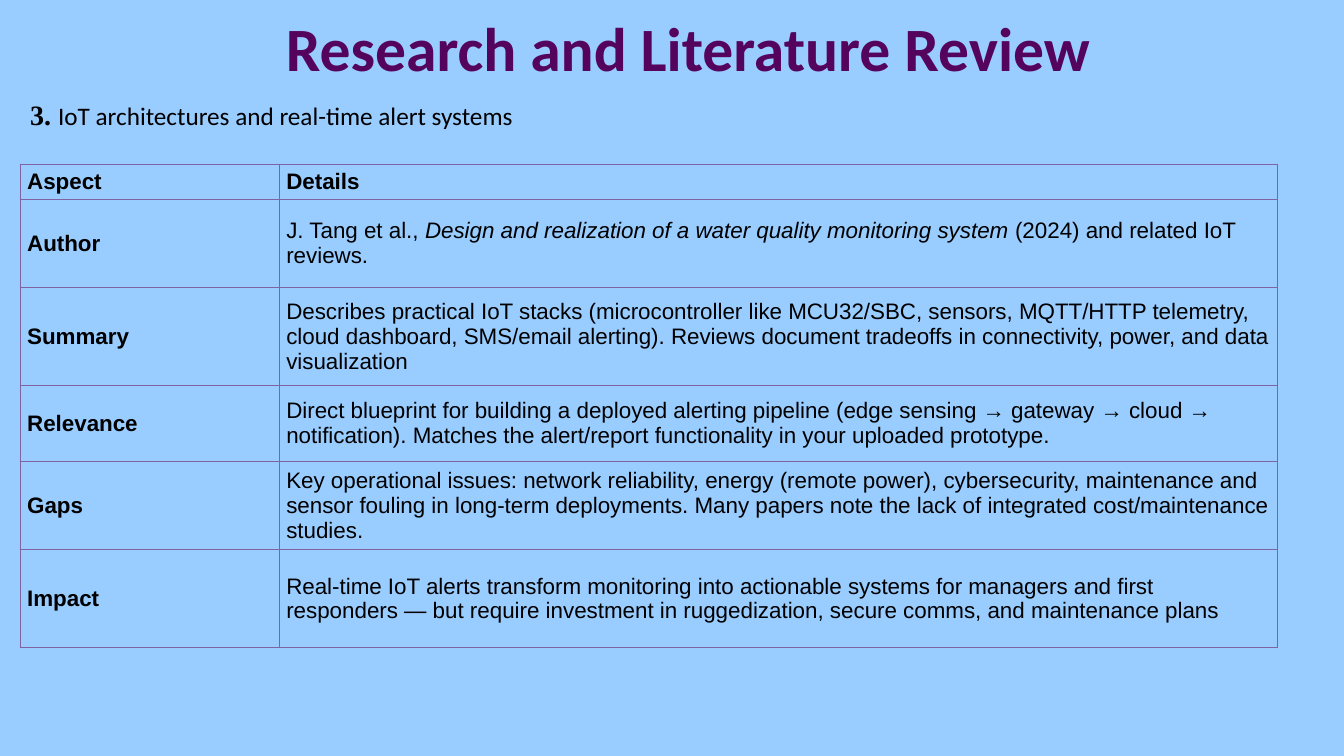
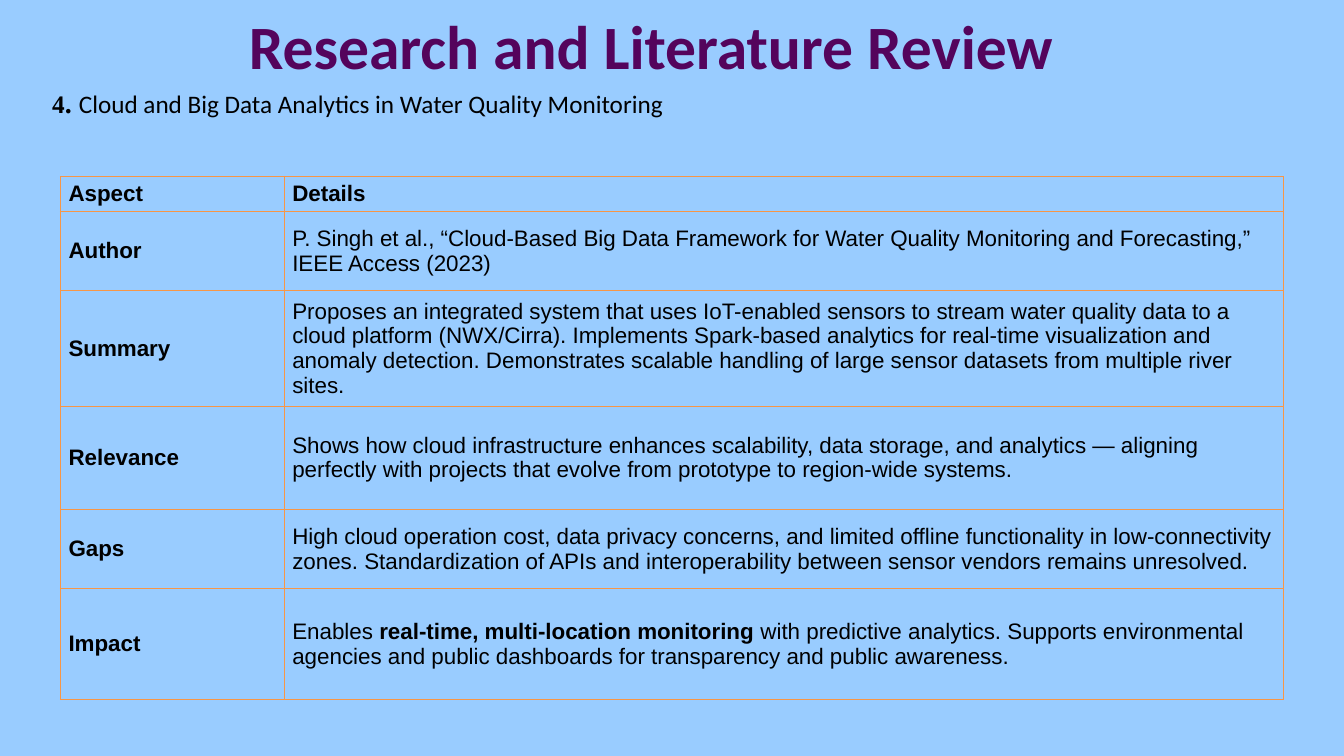
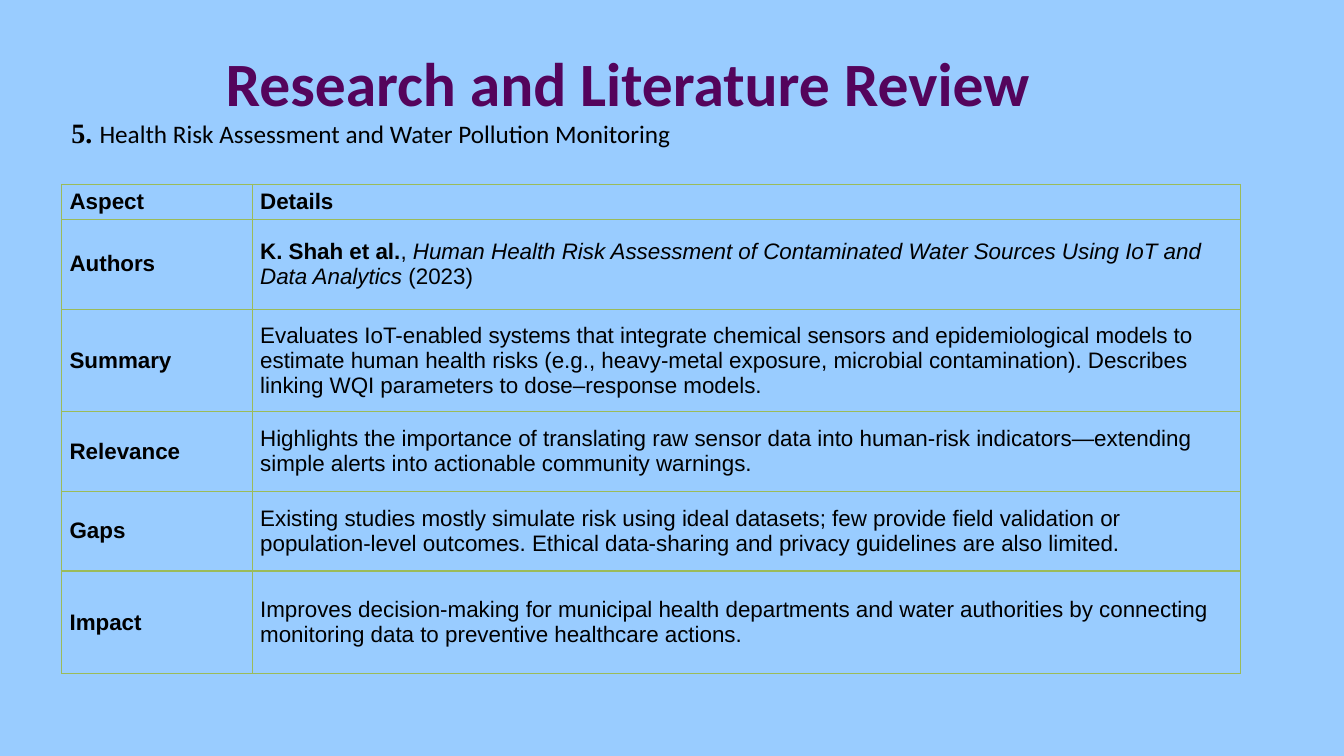
"""Build three literature review slides, each with a title, a topic line and a table."""
import pptx
import pptx.dml.color
import pptx.enum.text
import pptx.oxml
import pptx.util
import pptx.oxml.ns

COLORS = {"sky": "99CCFF", "plum": "54045C", "black": "000000",
          "purple": "8064A2", "orange": "F79646", "green": "9BBB59"}
TITLE = "Research and Literature Review "
MIDDLE = pptx.enum.text.MSO_ANCHOR.MIDDLE
CENTER = pptx.enum.text.PP_ALIGN.CENTER

SLIDES = [
    {
        "title_at": (6.75, 0.2), "topic_at": (1.5, 12.27), "table_at": (1.5, 21.73),
        "number": [("3. ", 20)], "topic": "IoT architectures and real-time alert systems",
        "line": "purple", "inset": 0.07,
        "cols": [19.28, 74.27], "rows": [4, 11.73, 12.93, 10, 10, 12.93],
        "cells": [
            ("Aspect", [("Details", "b")]),
            ("Author", [("J. Tang et al., ", ""),
                        ("Design and realization of a water quality monitoring system", "i"),
                        (" (2024) and related IoT reviews.", "")]),
            ("Summary", [("Describes practical IoT stacks (microcontroller like MCU32/SBC, sensors, "
                          "MQTT/HTTP telemetry, cloud dashboard, SMS/email alerting). Reviews document "
                          "tradeoffs in connectivity, power, and data visualization", "")]),
            ("Relevance", [("Direct blueprint for building a deployed alerting pipeline (edge sensing → "
                            "gateway → cloud → notification). Matches the alert/report functionality in "
                            "your uploaded prototype.", "")]),
            ("Gaps", [("Key operational issues: network reliability, energy (remote power), cybersecurity, "
                       "maintenance and sensor fouling in long-term deployments. Many papers note the lack "
                       "of integrated cost/maintenance studies.", "")]),
            ("Impact", [("Real-time IoT alerts transform monitoring into actionable systems for managers "
                         "and first responders — but require investment in ruggedization, secure comms, "
                         "and maintenance plans", "")]),
        ],
    },
    {
        "title_at": (3.98, 0), "topic_at": (3.15, 10.67), "table_at": (4.5, 23.33),
        "number": [("4", 18), (". ", 20)],
        "topic": "Cloud and Big Data Analytics in Water Quality Monitoring",
        "line": "orange", "inset": 0.08,
        "cols": [16.65, 74.34], "rows": [4.13, 10.53, 10.53, 13.6, 10.53, 14.67],
        "cells": [
            ("Aspect", [("Details", "b")]),
            ("Author", [("P. Singh et al., “Cloud-Based Big Data Framework for Water Quality Monitoring "
                         "and Forecasting,” IEEE Access (2023)", "")]),
            ("Summary", [("Proposes an integrated system that uses IoT-enabled sensors to stream water "
                          "quality data to a cloud platform (NWX/Cirra). Implements Spark-based analytics "
                          "for real-time visualization and anomaly detection. Demonstrates scalable "
                          "handling of large sensor datasets from multiple river sites.", "")]),
            ("Relevance", [("Shows how cloud infrastructure enhances scalability, data storage, and "
                            "analytics — aligning perfectly with projects that evolve from prototype to "
                            "region-wide systems.", "")]),
            ("Gaps", [("High cloud operation cost, data privacy concerns, and limited offline functionality "
                       "in low-connectivity zones. Standardization of APIs and interoperability between "
                       "sensor vendors remains unresolved.", "")]),
            ("Impact", [("Enables ", ""), ("real-time, multi-location monitoring", "b"),
                        (" with predictive analytics. Supports environmental agencies and public "
                         "dashboards for transparency and public awareness.", "")]),
        ],
    },
    {
        "title_at": (2.25, 4.8), "topic_at": (4.58, 14.67), "table_at": (4.58, 24.4),
        "number": [("5. ", 20)], "topic": "Health Risk Assessment and Water Pollution Monitoring",
        "line": "green", "inset": 0.08,
        "cols": [14.18, 73.52], "rows": [4.13, 11.87, 13.6, 10.53, 10.53, 13.6],
        "cells": [
            ("Aspect", [("Details", "b")]),
            ("Authors", [("K. Shah et al.", "b"), (", ", ""),
                         ("Human Health Risk Assessment of Contaminated Water Sources Using IoT and "
                          "Data Analytics", "i"), (" (2023)", "")]),
            ("Summary", [("Evaluates IoT-enabled systems that integrate chemical sensors and "
                          "epidemiological models to estimate human health risks (e.g., heavy-metal "
                          "exposure, microbial contamination). Describes linking WQI parameters to "
                          "dose–response models.", "")]),
            ("Relevance", [("Highlights the importance of translating raw sensor data into human-risk "
                            "indicators—extending simple alerts into actionable community warnings.", "")]),
            ("Gaps", [("Existing studies mostly simulate risk using ideal datasets; few provide field "
                       "validation or population-level outcomes. Ethical data-sharing and privacy "
                       "guidelines are also limited.", "")]),
            ("Impact", [("Improves decision-making for municipal health departments and water authorities "
                         "by connecting monitoring data to preventive healthcare actions.", "")]),
        ],
    },
]

prs = pptx.Presentation()
prs.slide_width = pptx.util.Inches(13.33)
prs.slide_height = pptx.util.Inches(7.5)
bg = prs.slide_master.background.fill
bg.solid()
bg.fore_color.rgb = pptx.dml.color.RGBColor.from_string(COLORS["sky"])


def share(x, y, w, h):
    """Turn percentages of the slide into lengths."""
    return [int(v * full / 100) for v, full in
            zip((x, y, w, h), (prs.slide_width, prs.slide_height) * 2)]


def add_run(p, text, size, font, style="", color="black"):
    """Add one run; style holds b for bold and i for italic."""
    r = p.add_run()
    r.text = text
    r.font.size = pptx.util.Pt(size)
    r.font.name = font
    r.font.bold = "b" in style
    r.font.italic = "i" in style
    r.font.color.rgb = pptx.dml.color.RGBColor.from_string(COLORS[color])


for page in SLIDES:
    s = prs.slides.add_slide(prs.slide_layouts[6])

    tf = s.shapes.add_textbox(*share(*page["title_at"], 90, 12)).text_frame
    tf.word_wrap = True
    tf.vertical_anchor = MIDDLE
    p = tf.paragraphs[0]
    p.alignment = CENTER
    add_run(p, TITLE, 44, "Calibri", "b", "plum")

    tf = s.shapes.add_textbox(*share(*page["topic_at"], 90, 6)).text_frame
    tf.word_wrap = True
    p = tf.paragraphs[0]
    for text, size in page["number"]:
        add_run(p, text, size, "Times New Roman", "b")
    add_run(p, page["topic"], 18, "Calibri")

    size = sum(page["cols"]), sum(page["rows"])
    table = s.shapes.add_table(len(page["rows"]), len(page["cols"]),
                               *share(*page["table_at"], *size)).table
    table.first_row = table.horz_banding = False
    for col, width in zip(table.columns, page["cols"]):
        col.width = int(width * prs.slide_width / 100)
    for row, height, (aspect, details) in zip(table.rows, page["rows"], page["cells"]):
        row.height = int(height * prs.slide_height / 100)
        for cell, runs in zip(row.cells, ([(aspect, "b")], details)):
            cell.fill.background()
            cell.vertical_anchor = MIDDLE
            cell.margin_left = cell.margin_right = pptx.util.Inches(page["inset"])
            cell.margin_top = cell.margin_bottom = pptx.util.Inches(0.04)
            for text, style in runs:
                add_run(cell.text_frame.paragraphs[0], text, 16, "Arial", style)
            tcPr = cell._tc.get_or_add_tcPr()
            for i, side in enumerate("LRTB"):
                tcPr.insert(i, pptx.oxml.parse_xml(
                    f'<a:ln{side} {pptx.oxml.ns.nsdecls("a")} w="12700"><a:solidFill>'
                    f'<a:srgbClr val="{COLORS[page["line"]]}"/></a:solidFill></a:ln{side}>'))

prs.save("out.pptx")
